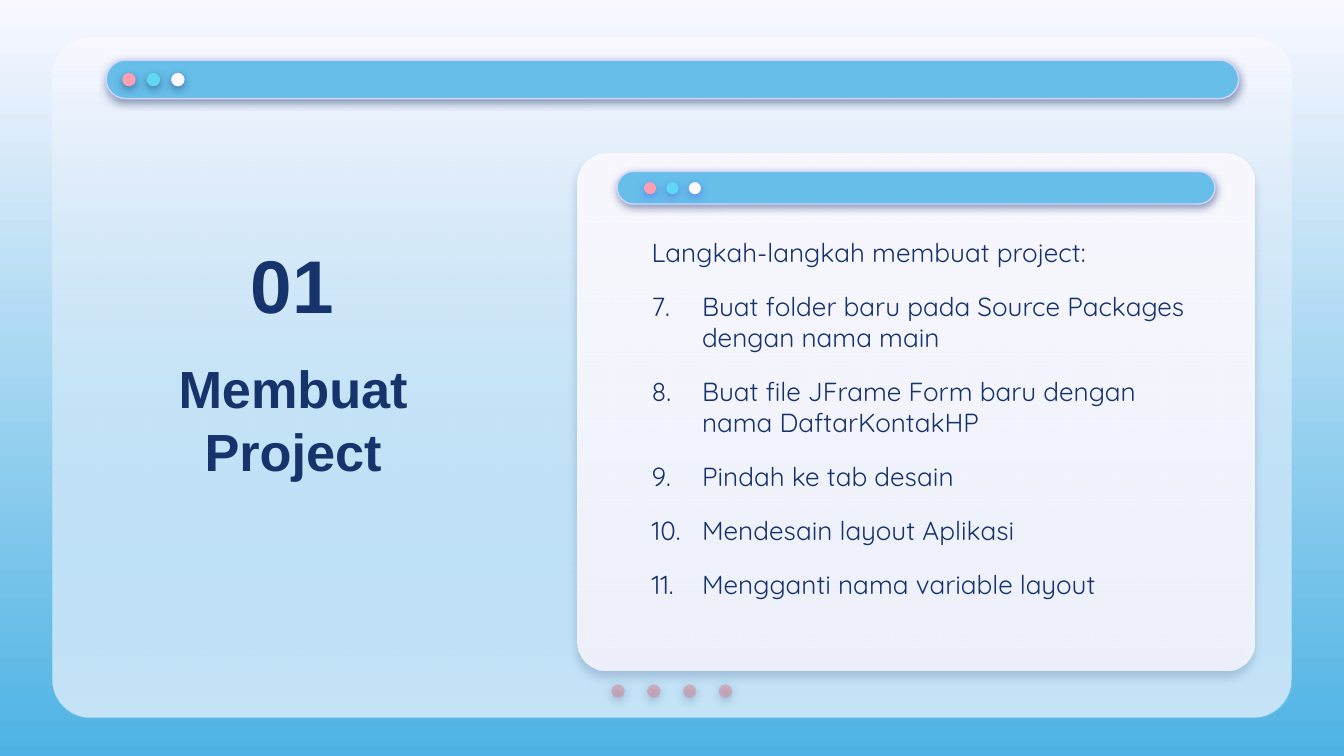
from dataclasses import dataclass

from lxml import etree
from pptx import Presentation
from pptx.dml.color import RGBColor
from pptx.enum.shapes import MSO_SHAPE as Preset
from pptx.enum.text import MSO_ANCHOR as Anchor, PP_ALIGN as Align
from pptx.oxml.ns import qn
from pptx.util import Pt

NAVY, PALE, SKY = "17336B", "F9F8FF", "66BEE9"
LILAC, ROSE, PINK, CYAN = "D2D6FF", "E27B83", "FDA0B4", "60D8F4"
VIOLET = "5352EE"
STEPS = [
    "Buat folder baru pada Source Packages dengan nama main",
    "Buat file JFrame Form baru dengan nama DaftarKontakHP",
    "Pindah ke tab desain",
    "Mendesain layout Aplikasi",
    "Mengganti nama variable layout",
]


@dataclass(frozen=True)
class Box:
    left: float
    top: float
    width: float
    height: float

    def lengths(self):
        return Pt(self.left), Pt(self.top), Pt(self.width), Pt(self.height)


@dataclass(frozen=True)
class Shadow:
    color: str = NAVY
    opacity: int = 50
    distance: float = 1.5
    angle: int = 90


@dataclass(frozen=True)
class DotRow:
    left: float
    top: float
    size: float
    pitch: float
    colors: tuple
    shadow: Shadow = Shadow()
    opacity: int = 100


@dataclass(frozen=True)
class Heading:
    text: str
    box: Box
    size: int


def rgb(color: str) -> RGBColor:
    return RGBColor.from_string(color)


def set_opacity(color_element, percent: int) -> None:
    etree.SubElement(color_element, qn("a:alpha"), val=str(percent * 1000))


def fill_gradient(fill, top: str, bottom: str) -> None:
    fill.gradient()
    fill.gradient_angle = 270
    for stop, color in zip(fill.gradient_stops, (top, bottom)):
        stop.color.rgb = rgb(color)


def add_shadow(shape, shadow: Shadow) -> None:
    effects = shape._element.spPr.find(qn("a:effectLst"))
    outer = etree.SubElement(
        effects, qn("a:outerShdw"), blurRad=str(Pt(4.5)),
        dist=str(Pt(shadow.distance)), dir=str(shadow.angle * 60000),
        algn="bl", rotWithShape="0")
    color = etree.SubElement(outer, qn("a:srgbClr"), val=shadow.color)
    set_opacity(color, shadow.opacity)


def add_plain(slide, preset, box: Box, color: str):
    shape = slide.shapes.add_shape(preset, *box.lengths())
    shape.fill.solid()
    shape.fill.fore_color.rgb = rgb(color)
    shape.line.fill.background()
    shape.shadow.inherit = False
    return shape


def add_panel(slide, box: Box, bottom: str = PALE, opacity: int = 100):
    panel = add_plain(slide, Preset.ROUNDED_RECTANGLE, box, PALE)
    panel.adjustments[0] = 0.056
    if opacity < 100:
        fill_gradient(panel.fill, PALE, bottom)
        last_color = panel._element.spPr.findall(".//" + qn("a:gs"))[-1][0]
        set_opacity(last_color, opacity)
    return panel


def add_bar(slide, box: Box) -> None:
    bar = add_plain(slide, Preset.ROUNDED_RECTANGLE, box, SKY)
    bar.adjustments[0] = 0.5
    bar.line.color.rgb = rgb(LILAC)
    bar.line.width = Pt(0.75)
    add_shadow(bar, Shadow())


def add_dots(slide, row: DotRow) -> None:
    for index, color in enumerate(row.colors):
        box = Box(row.left + index * row.pitch, row.top, row.size, row.size)
        dot = add_plain(slide, Preset.OVAL, box, color)
        if row.opacity < 100:
            set_opacity(dot._element.spPr.find(qn("a:solidFill"))[0], row.opacity)
        add_shadow(dot, row.shadow)


def add_text_frame(slide, box: Box, anchor):
    frame = slide.shapes.add_textbox(*box.lengths()).text_frame
    frame.word_wrap = True
    frame.vertical_anchor = anchor
    frame.margin_left = frame.margin_right = Pt(7.2)
    frame.margin_top = frame.margin_bottom = Pt(7.2)
    return frame


def style(paragraph, name: str, size: int, bold: bool = False) -> None:
    for run in paragraph.runs:
        run.font.name = name
        run.font.size = Pt(size)
        run.font.bold = bold
        run.font.color.rgb = rgb(NAVY)


def add_heading(slide, heading: Heading) -> None:
    frame = add_text_frame(slide, heading.box, Anchor.MIDDLE)
    frame.text = heading.text
    paragraph = frame.paragraphs[0]
    paragraph.alignment = Align.CENTER
    style(paragraph, "Arial", heading.size, bold=True)


def number_paragraph(paragraph, start: int) -> None:
    properties = paragraph._p.get_or_add_pPr()
    properties.set("marL", str(Pt(27)))
    properties.set("indent", str(-Pt(27)))
    color = etree.SubElement(properties, qn("a:buClr"))
    etree.SubElement(color, qn("a:srgbClr"), val=NAVY)
    etree.SubElement(properties, qn("a:buFont"), typeface="Quicksand")
    etree.SubElement(properties, qn("a:buAutoNum"), type="arabicPeriod", startAt=str(start))


def add_steps(slide, box: Box, intro: str, steps: list, start: int) -> None:
    frame = add_text_frame(slide, box, Anchor.TOP)
    frame.text = "\n".join([intro, *steps])
    for index, paragraph in enumerate(frame.paragraphs):
        paragraph.space_after = Pt(12)
        if index:
            number_paragraph(paragraph, start)
        style(paragraph, "Quicksand", 14)


def main() -> None:
    presentation = Presentation()
    presentation.slide_width, presentation.slide_height = Pt(720), Pt(405)
    slide = presentation.slides.add_slide(presentation.slide_layouts[6])
    fill_gradient(slide.background.fill, PALE, "4EB3E4")

    window = Box(28.1, 20.2, 663.8, 364.3)
    lights = (PINK, CYAN, PALE)
    add_panel(slide, window)
    add_panel(slide, window, SKY, 35)
    add_dots(slide, DotRow(327.5, 366.7, 7.2, 19.2, (ROSE,) * 4, opacity=44))
    add_bar(slide, Box(56.9, 32.2, 606.7, 20.6))
    add_dots(slide, DotRow(65.5, 39.1, 7.2, 13.1, lights))

    card = add_panel(slide, Box(309.3, 82.5, 363, 276.7), PALE, 87)
    add_shadow(card, Shadow(opacity=22, distance=3.8, angle=91))
    add_bar(slide, Box(330.6, 91.8, 320.3, 17.5))
    add_dots(slide, DotRow(345, 97.6, 6.5, 12, lights, Shadow(VIOLET)))

    add_heading(slide, Heading("Membuat Project", Box(56.9, 168.5, 200.2, 112.3), 28))
    add_steps(slide, Box(342, 119.5, 312.5, 219.6),
              "Langkah-langkah membuat project:", STEPS, 7)
    add_heading(slide, Heading("01", Box(123.1, 118.1, 67, 67.7), 40))
    presentation.save("out.pptx")


if __name__ == "__main__":
    main()
